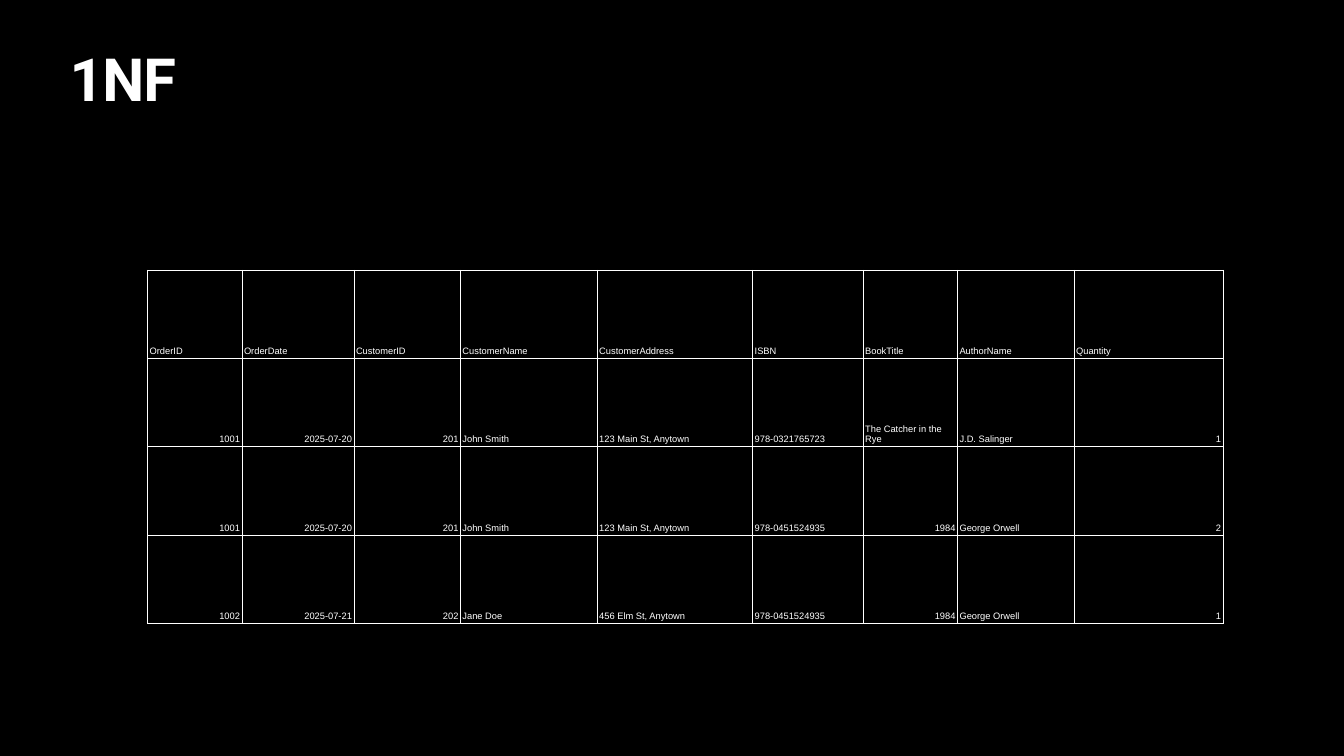
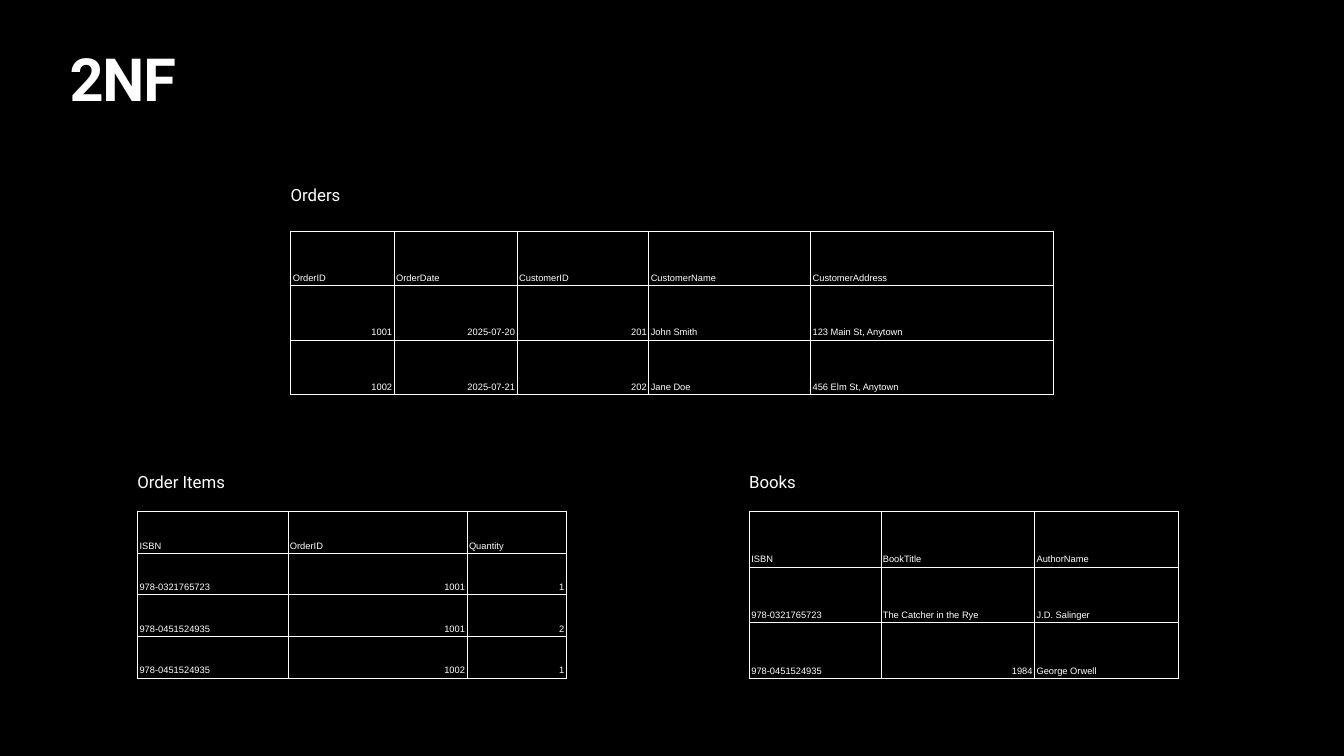
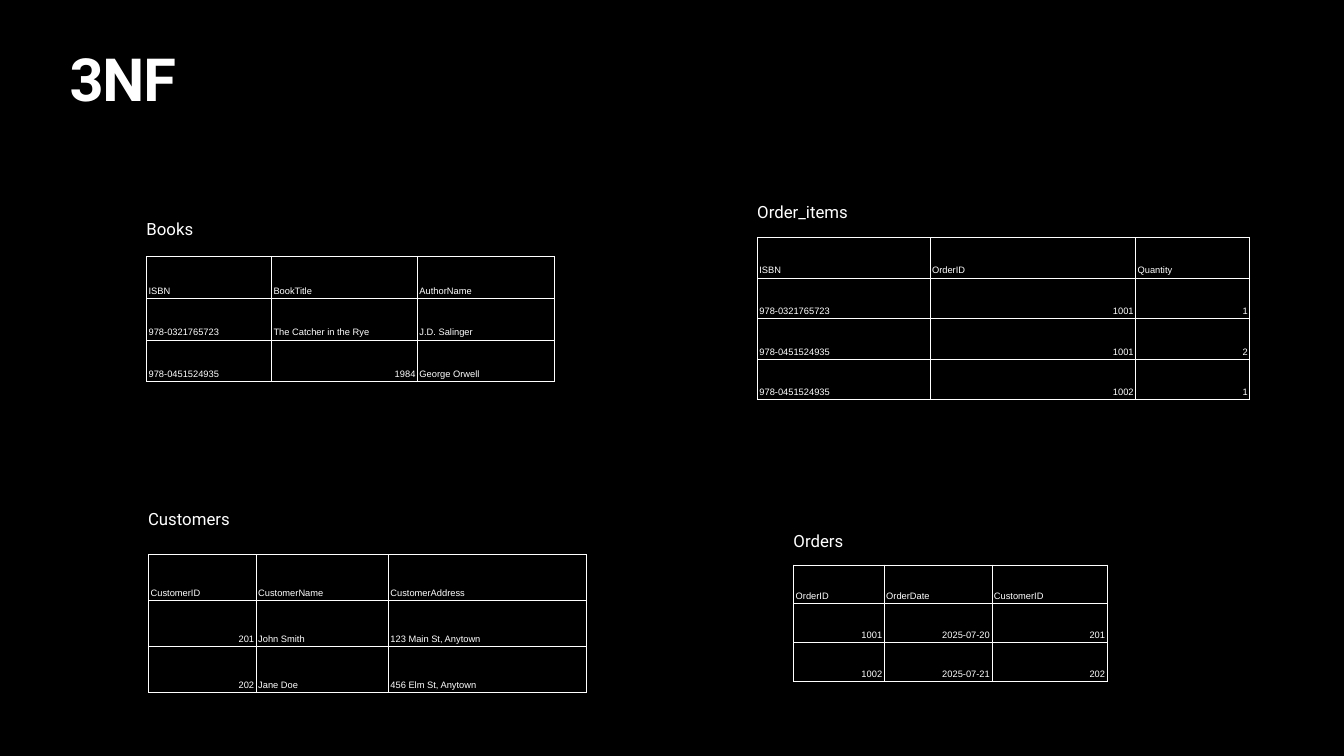
import lxml.etree
import pptx
import pptx.dml.color
import pptx.enum.text
import pptx.oxml.ns
import pptx.util

Inches = pptx.util.Inches
Pt = pptx.util.Pt
Anchor = pptx.enum.text.MSO_ANCHOR
Align = pptx.enum.text.PP_ALIGN
AutoSize = pptx.enum.text.MSO_AUTO_SIZE

COLORS = {"background": "000000", "text": "FFFFFF", "border": "FFFFFF"}

TITLE_FONT = {"name": "Roboto", "size": Pt(85), "bold": True}
LABEL_FONT = {"name": "Roboto", "size": Pt(24)}
CELL_FONT = {"name": "Arial", "size": Pt(13.3)}

TITLE_BOX = (1.32, 1.04, 24.03, 1.57)
TITLE_FRAME = {"vertical_anchor": Anchor.TOP, "auto_size": AutoSize.NONE, "word_wrap": True}
LABEL_FRAME = {"vertical_anchor": Anchor.MIDDLE, "auto_size": AutoSize.SHAPE_TO_FIT_TEXT, "word_wrap": False}
LABEL_HEIGHT = 0.5
LABEL_OUTDENT = 0.08
TEXT_INSET = 0.06
CELL_INSET = 0.04
SIDES = ("left", "right", "top", "bottom")

FIELDS = ("OrderID", "OrderDate", "CustomerID", "CustomerName", "CustomerAddress",
          "ISBN", "BookTitle", "AuthorName", "Quantity")
RECORDS = [dict(zip(FIELDS, values)) for values in (
    ("1001", "2025-07-20", "201", "John Smith", "123 Main St, Anytown",
     "978-0321765723", "The Catcher in the Rye", "J.D. Salinger", "1"),
    ("1001", "2025-07-20", "201", "John Smith", "123 Main St, Anytown",
     "978-0451524935", "1984", "George Orwell", "2"),
    ("1002", "2025-07-21", "202", "Jane Doe", "456 Elm St, Anytown",
     "978-0451524935", "1984", "George Orwell", "1"),
)]

ALL_COLUMNS = dict(zip(FIELDS, (1.87, 2.22, 2.11, 2.71, 3.08, 2.19, 1.87, 2.31, 2.95)))
ORDER_COLUMNS = {"OrderID": 2.05, "OrderDate": 2.44, "CustomerID": 2.61}
CUSTOMER_COLUMNS = {"CustomerID": 2.61, "CustomerName": 3.21, "CustomerAddress": 4.81}
ITEM_COLUMNS = {"ISBN": 2.98, "OrderID": 3.55, "Quantity": 1.97}
BOOK_COLUMNS = {"ISBN": 2.61, "BookTitle": 3.05, "AuthorName": 2.86}

SLIDES = {
    "1NF": [
        {"box": (2.93, 5.36, 21.34, 7.01), "columns": ALL_COLUMNS},
    ],
    "2NF": [
        {"box": (5.77, 4.58, 15.13, 3.25), "columns": ORDER_COLUMNS | CUSTOMER_COLUMNS,
         "label": "Orders", "label_width": 1.14, "label_rise": 0.97},
        {"box": (2.73, 10.15, 8.51, 3.3), "columns": ITEM_COLUMNS,
         "label": "Order Items", "label_width": 1.89, "label_rise": 0.85},
        {"box": (14.87, 10.14, 8.52, 3.32), "columns": BOOK_COLUMNS,
         "label": "Books", "label_width": 1.08, "label_rise": 0.84},
    ],
    "3NF": [
        {"box": (15.75, 11.21, 6.22, 2.31), "columns": ORDER_COLUMNS,
         "label": "Orders", "label_width": 1.14, "label_rise": 0.73},
        {"box": (15.03, 4.71, 9.77, 3.22), "columns": ITEM_COLUMNS,
         "label": "Order_items", "label_width": 1.95, "label_rise": 0.76},
        {"box": (2.91, 5.09, 8.09, 2.48), "columns": BOOK_COLUMNS,
         "label": "Books", "label_width": 1.08, "label_rise": 0.81},
        {"box": (2.95, 11, 8.69, 2.74), "columns": CUSTOMER_COLUMNS,
         "label": "Customers", "label_width": 1.76, "label_rise": 0.96},
    ],
}


def rgb(name):
    return pptx.dml.color.RGBColor.from_string(COLORS[name])


def apply(target, values):
    for name, value in values.items():
        setattr(target, name, value)


def set_insets(target, inset):
    apply(target, {f"margin_{side}": Inches(inset) for side in SIDES})


def write(text_frame, text, font, alignment):
    paragraph = text_frame.paragraphs[0]
    paragraph.alignment = alignment
    run = paragraph.add_run()
    run.text = text
    apply(run.font, font)
    run.font.color.rgb = rgb("text")
    return paragraph, run


def add_title(slide, text, box):
    title = slide.shapes.title
    apply(title, dict(zip(("left", "top", "width", "height"), map(Inches, box))))
    apply(title.text_frame, TITLE_FRAME)
    set_insets(title.text_frame, TEXT_INSET)
    paragraph, run = write(title.text_frame, text, TITLE_FONT, Align.LEFT)
    paragraph.line_spacing = 0.8
    run.font._element.set("spc", "-170")


def add_borders(cell):
    properties = cell._tc.get_or_add_tcPr()
    qualified = pptx.oxml.ns.qn
    for index, side in enumerate("LRTB"):
        line = lxml.etree.Element(qualified(f"a:ln{side}"), w=str(Pt(1)))
        fill = lxml.etree.SubElement(line, qualified("a:solidFill"))
        lxml.etree.SubElement(fill, qualified("a:srgbClr"), val=COLORS["border"])
        properties.insert(index, line)


def fill_cell(cell, text, alignment):
    cell.fill.background()
    cell.vertical_anchor = Anchor.BOTTOM
    set_insets(cell, CELL_INSET)
    write(cell.text_frame, text, CELL_FONT, alignment)
    add_borders(cell)


def is_numeric(field, value):
    return field != "ISBN" and value.replace("-", "").isdigit()


def add_data_table(slide, box, columns):
    width, height = box[2:]
    rows = list(dict.fromkeys(tuple(record[field] for field in columns) for record in RECORDS))
    rows.insert(0, tuple(columns))
    table = slide.shapes.add_table(len(rows), len(columns), *map(Inches, box)).table
    apply(table, {"first_row": False, "horz_banding": False})
    for column, share in zip(table.columns, columns.values()):
        column.width = Inches(width * share / sum(columns.values()))
    for row_index, values in enumerate(rows):
        table.rows[row_index].height = Inches(height / len(rows))
        for column_index, (field, value) in enumerate(zip(columns, values)):
            alignment = Align.RIGHT if is_numeric(field, value) else Align.LEFT
            fill_cell(table.cell(row_index, column_index), value, alignment)


def add_label(slide, text, box):
    text_frame = slide.shapes.add_textbox(*map(Inches, box)).text_frame
    apply(text_frame, LABEL_FRAME)
    set_insets(text_frame, TEXT_INSET)
    write(text_frame, text, LABEL_FONT, Align.CENTER)


def add_entity(slide, box, columns, label=None, label_width=0, label_rise=0):
    left, top = box[:2]
    add_data_table(slide, box, columns)
    if label:
        add_label(slide, label, (left - LABEL_OUTDENT, top - label_rise, label_width, LABEL_HEIGHT))


def add_normal_form_slide(presentation, title, entities):
    slide = presentation.slides.add_slide(presentation.slide_layouts.get_by_name("Title Only"))
    add_title(slide, title, TITLE_BOX)
    for entity in entities:
        add_entity(slide, **entity)


def main():
    presentation = pptx.Presentation()
    apply(presentation, {"slide_width": Inches(26.67), "slide_height": Inches(15)})
    background = presentation.slide_master.background.fill
    background.solid()
    background.fore_color.rgb = rgb("background")
    for title, entities in SLIDES.items():
        add_normal_form_slide(presentation, title, entities)
    presentation.save("out.pptx")


if __name__ == "__main__":
    main()
